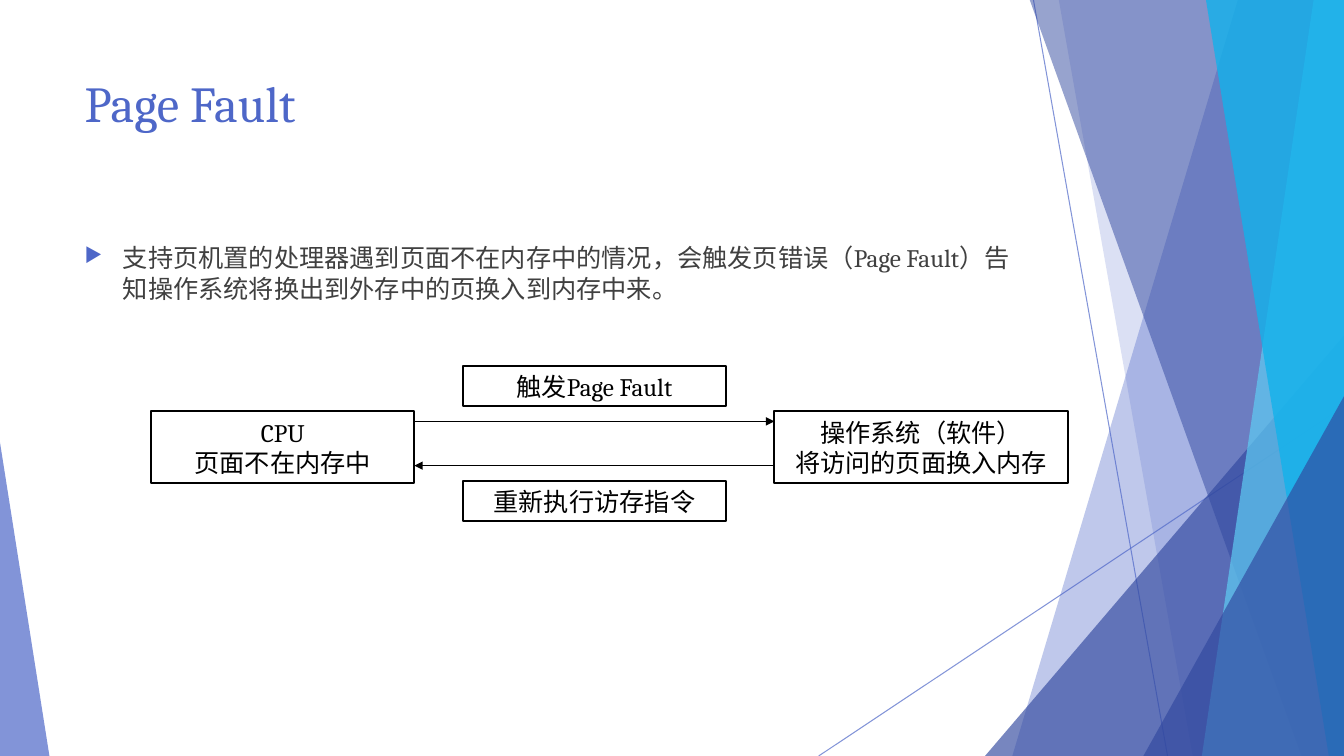
from lxml import etree
from pptx import Presentation
from pptx import util as u
from pptx.dml.color import RGBColor
from pptx.enum import shapes, text
from pptx.enum.lang import MSO_LANGUAGE_ID
from pptx.oxml.ns import qn

PX = 9144  # EMU in one px, 100 px to the inch
WIDE, HIGH = 1333, 750
FONT = "Cambria"
BLUE = RGBColor(0x4E, 0x67, 0xC8)
NAVY = RGBColor(0x31, 0x48, 0x9F)
PALE = RGBColor(0x5E, 0xCC, 0xF3)
CYAN = RGBColor(0x12, 0xB2, 0xEB)
GREY = RGBColor(0x40, 0x40, 0x40)
BLACK = RGBColor(0, 0, 0)


def px(*nums):
    return [u.Emu(n * PX) for n in nums]


def fade(elem, pct):
    """Give the solid colour inside elem an opacity in percent."""
    color = next(elem.iter(qn("a:srgbClr")))
    etree.SubElement(color, qn("a:alpha"), val=str(pct * 1000))


def paint(shape, color, pct):
    shape.shadow.inherit = False
    shape.fill.solid()
    shape.fill.fore_color.rgb = color
    fade(shape.fill._xPr.find(qn("a:solidFill")), pct)
    shape.line.fill.background()


def add_run(para, words, size, color):
    run = para.add_run()
    run.text = words
    font = run.font
    font.name, font.size = FONT, u.Pt(size)
    font.color.rgb = color
    font.language_id = MSO_LANGUAGE_ID.SIMPLIFIED_CHINESE


def add_line(slide, start, end, color, width, pct=100, arrow=False):
    line = slide.shapes.add_connector(
        shapes.MSO_CONNECTOR.STRAIGHT, *px(*start, *end))
    line.line.color.rgb = color
    line.line.width = u.Pt(width)
    ln = line.line._get_or_add_ln()
    if pct < 100:
        fade(ln, pct)
    if arrow:
        etree.SubElement(ln, qn("a:tailEnd"), type="triangle")
    etree.SubElement(line._element.spPr, qn("a:effectLst"))


def add_band(slide, top, foot, color, pct):
    """Fill from a slanted left edge to the right side of the slide."""
    form = slide.shapes.build_freeform(top, -1, scale=PX)
    form.add_line_segments([(WIDE, -1), (WIDE, HIGH), (foot, HIGH)], close=True)
    paint(form.convert_to_shape(), color, pct)


def add_wedge(slide, left, top, width, apex, color, pct):
    wedge = slide.shapes.add_shape(
        shapes.MSO_SHAPE.ISOSCELES_TRIANGLE, *px(left, top, width, HIGH - top))
    wedge.adjustments[0] = apex
    paint(wedge, color, pct)


def add_box(slide, left, top, width, height, *lines):
    box = slide.shapes.add_shape(
        shapes.MSO_SHAPE.RECTANGLE, *px(left, top, width, height))
    box.shadow.inherit = False
    box.fill.background()
    box.line.color.rgb = BLACK
    box.line.width = u.Pt(1.5)
    frame = box.text_frame
    frame.word_wrap = True
    frame.auto_size = text.MSO_AUTO_SIZE.SHAPE_TO_FIT_TEXT
    for i, words in enumerate(lines):
        para = frame.add_paragraph() if i else frame.paragraphs[0]
        para.alignment = text.PP_ALIGN.CENTER
        add_run(para, words, 18, BLACK)


def set_title(slide, words):
    title = slide.shapes.title
    title.left, title.top, title.width, title.height = px(74, 67, 940, 144)
    frame = title.text_frame
    frame.vertical_anchor = text.MSO_ANCHOR.TOP
    para = frame.paragraphs[0]
    para.alignment = text.PP_ALIGN.LEFT
    add_run(para, words, 36, BLUE)


def add_bullet(slide, words):
    frame = slide.shapes.add_textbox(*px(74, 236, 940, 424)).text_frame
    frame.word_wrap = True
    para = frame.paragraphs[0]
    para.space_before = u.Pt(10)
    add_run(para, words, 18, GREY)
    props = para._p.get_or_add_pPr()
    props.set("marL", str(38 * PX))
    props.set("indent", str(-38 * PX))
    color = etree.SubElement(props, qn("a:buClr"))
    etree.SubElement(color, qn("a:srgbClr"), val=str(BLUE))
    etree.SubElement(props, qn("a:buSzPct"), val="80000")
    etree.SubElement(props, qn("a:buChar"), char="▶")


def add_decor(slide):
    add_line(slide, (1025, 0), (1158, HIGH), BLUE, 0.75, 70)
    add_line(slide, (WIDE, 403), (812, HIGH), BLUE, 0.75, 70)
    add_band(slide, 1228, 1004, BLUE, 36)
    add_band(slide, 1050, 1183, BLUE, 20)
    add_wedge(slide, 977, 333, 356, 1, NAVY, 66)
    add_band(slide, 1021, 1291, NAVY, 50)
    add_band(slide, 1303, 1192, PALE, 70)
    add_band(slide, 1196, 1318, CYAN, 80)
    add_wedge(slide, 1134, 393, 199, 1, NAVY, 66)
    add_wedge(slide, 0, 439, 49, 0, BLUE, 70)


def add_flow(slide):
    near, far = 411, 768  # facing sides of the two actors
    add_box(slide, 150, 408, 261, 71, "CPU", "页面不在内存中")
    add_box(slide, far, 408, 291, 71, "操作系统（软件）", "将访问的页面换入内存")
    add_line(slide, (near, 418), (far, 418), BLACK, 1, arrow=True)
    add_line(slide, (far, 462), (near, 462), BLACK, 1, arrow=True)
    for top, words in ((363, "触发Page Fault"), (477, "重新执行访存指令")):
        add_box(slide, 459, top, 261, 40, words)


def main():
    deck = Presentation()
    deck.slide_width, deck.slide_height = px(WIDE, HIGH)
    slide = deck.slides.add_slide(deck.slide_layouts[5])
    # Background bands
    add_decor(slide)
    # Title and statement
    set_title(slide, "Page Fault")
    add_bullet(slide, "支持页机置的处理器遇到页面不在内存中的情况，会触发页错误"
                      "（Page Fault）告知操作系统将换出到外存中的页换入到内存中来。")
    # Exchange between processor and system
    add_flow(slide)
    deck.save("out.pptx")


if __name__ == "__main__":
    main()
